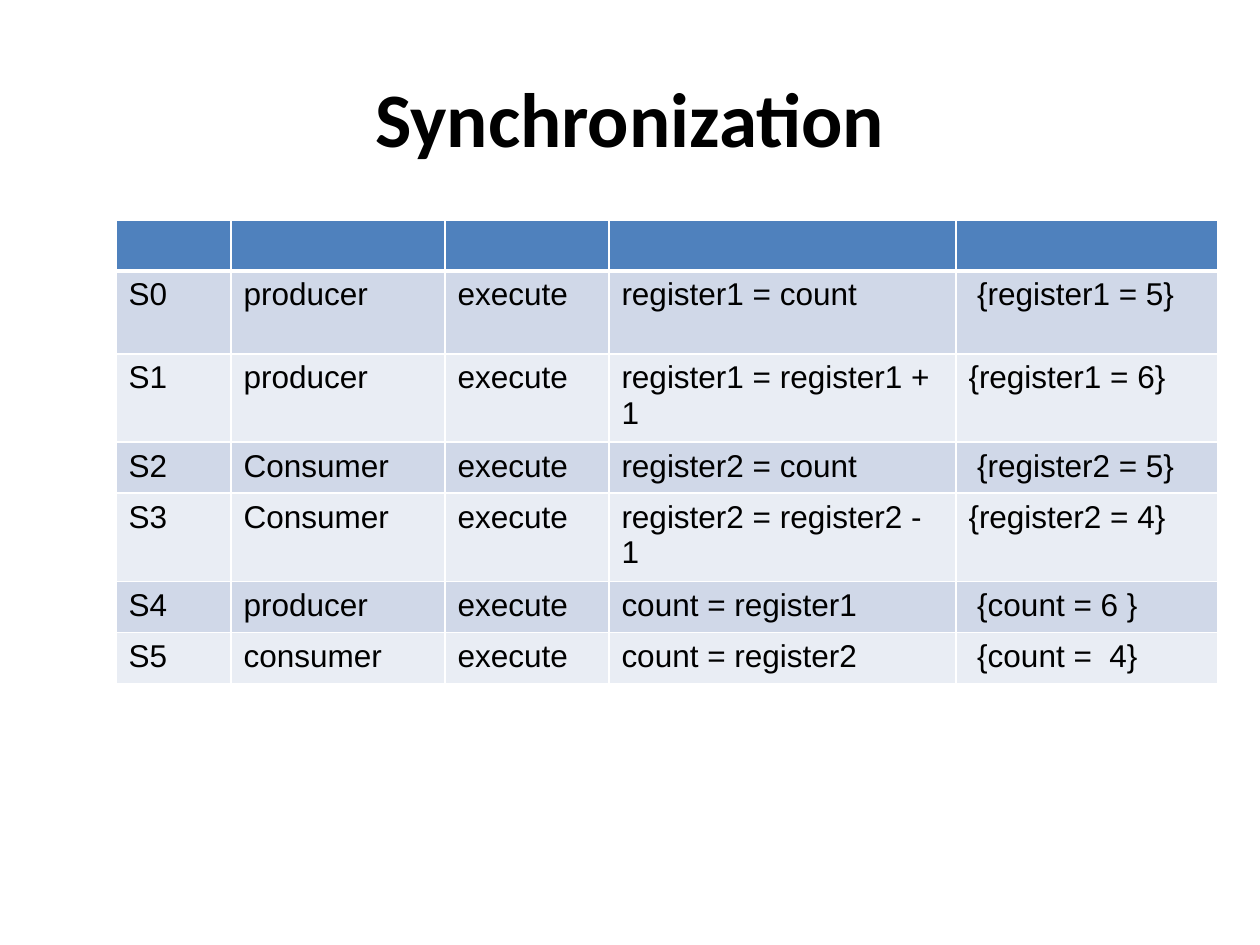
from lxml import etree
from pptx import Presentation
from pptx.dml.color import RGBColor
from pptx.enum.text import MSO_ANCHOR, PP_ALIGN
from pptx.oxml.ns import qn
from pptx.util import Pt

MIDDLE = MSO_ANCHOR.MIDDLE
CENTER = PP_ALIGN.CENTER
PX = 914400 / 126
SLIDE_SIZE = (1260, 945)
TITLE_BOX = (63, 38, 1134, 157)
TABLE_BOX = (116, 220, 1102, 453)

TITLE_FONT = {"name": "Calibri", "size": Pt(44), "bold": True}
CELL_FONT = {"name": "Arial", "size": Pt(18), "bold": False}
HEADER_FILL = "4F81BD"
BAND_FILLS = ("E9EDF4", "D0D8E8")
BORDER_COLOR = "FFFFFF"
TEXT_COLOR = "000000"

COLUMN_WIDTHS = (115, 214, 164, 347, 262)
ROW_HEIGHTS = (51, 83, 83, 51, 83, 51, 51)
STEPS = (
    ("S0", "producer", "execute", "register1 = count", " {register1 = 5}"),
    ("S1", "producer", "execute", "register1 = register1 + 1", "{register1 = 6}"),
    ("S2", "Consumer", "execute", "register2 = count", " {register2 = 5}"),
    ("S3", "Consumer", "execute", "register2 = register2 - 1", "{register2 = 4}"),
    ("S4", "producer", "execute", "count = register1", " {count = 6 }"),
    ("S5", "consumer", "execute", "count = register2", " {count =  4}"),
)


def emu(px):
    return round(px * PX)


def color(value):
    return RGBColor.from_string(value)


def write(para, text, formats):
    span = para.add_run()
    span.text = text
    for name, value in formats.items():
        setattr(span.font, name, value)
    span.font.color.rgb = color(TEXT_COLOR)


def add_title(page, box, text):
    frame = page.shapes.add_textbox(*map(emu, box)).text_frame
    frame.word_wrap = True
    frame.vertical_anchor = MIDDLE
    para = frame.paragraphs[0]
    para.alignment = CENTER
    write(para, text, TITLE_FONT)


def set_borders(cell, widths):
    properties = cell._tc.get_or_add_tcPr()
    for side, width in widths.items():
        line = etree.SubElement(properties, qn(f"a:ln{side}"), w=str(Pt(width)))
        fill = etree.SubElement(line, qn("a:solidFill"))
        etree.SubElement(fill, qn("a:srgbClr"), val=BORDER_COLOR)


def add_steps_table(page, box, steps):
    rows = (("",) * len(COLUMN_WIDTHS), *steps)
    table = page.shapes.add_table(
        len(rows), len(COLUMN_WIDTHS), *map(emu, box)
    ).table
    for column, width in zip(table.columns, COLUMN_WIDTHS):
        column.width = emu(width)
    for row, height in zip(table.rows, ROW_HEIGHTS):
        row.height = emu(height)
    for row_index, texts in enumerate(rows):
        borders = {
            "L": 1,
            "R": 1,
            "T": 3 if row_index == 1 else 1,
            "B": 3 if row_index == 0 else 1,
        }
        for column_index, text in enumerate(texts):
            cell = table.cell(row_index, column_index)
            set_borders(cell, borders)
            cell.fill.solid()
            cell.fill.fore_color.rgb = color(
                BAND_FILLS[row_index % 2] if row_index else HEADER_FILL
            )
            if text:
                write(cell.text_frame.paragraphs[0], text, CELL_FONT)


def main():
    deck = Presentation()
    deck.slide_width, deck.slide_height = map(emu, SLIDE_SIZE)
    page = deck.slides.add_slide(deck.slide_layouts[6])
    add_title(page, TITLE_BOX, "Synchronization")
    add_steps_table(page, TABLE_BOX, STEPS)
    deck.save("out.pptx")


if __name__ == "__main__":
    main()
